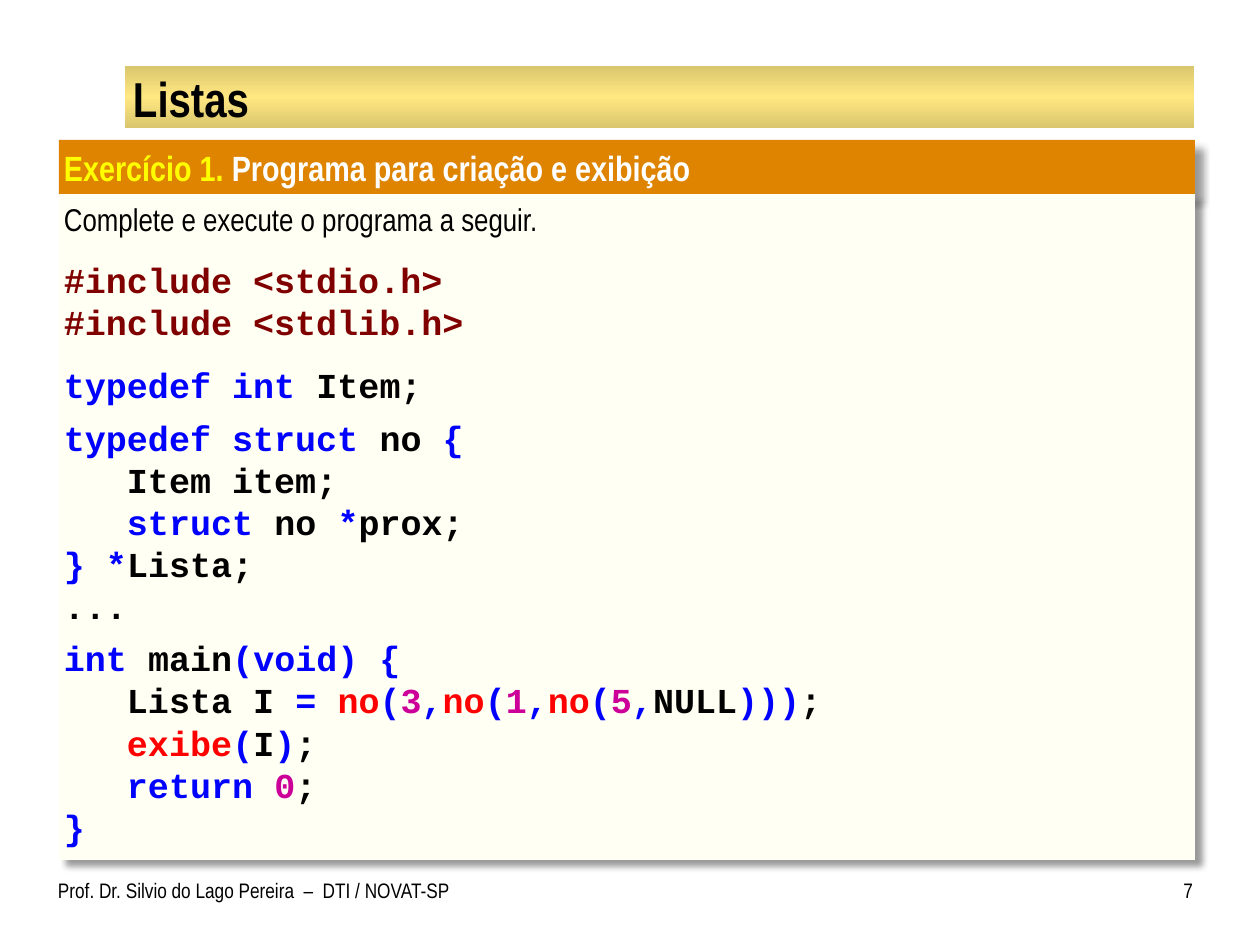
import copy

import pptx
import pptx.dml.color
import pptx.enum.shapes
import pptx.enum.text
import pptx.oxml
import pptx.oxml.ns
import pptx.util

PX = 914400 // 126


class Theme:
    text_font, code_font = "Arial Narrow", "Courier New"
    title_size, heading_size, code_size, body_size, footer_size = 28, 20, 20, 18, 12
    bar_edge, bar_middle = "DAC66E", "FFE781"
    heading_fill, code_fill = "DE8400", "FFFFF3"
    black, white, yellow = "000000", "FFFFFF", "FFFF00"
    directive, keyword, function, number = "800000", "0000FF", "FF0000", "CC0099"


RGB = pptx.dml.color.RGBColor.from_string
ALIGN = pptx.enum.text.PP_ALIGN
ANCHOR = pptx.enum.text.MSO_ANCHOR
RECTANGLE = pptx.enum.shapes.MSO_SHAPE.RECTANGLE


def write(shape, paragraphs, margins, font=Theme.text_font, size=Theme.footer_size,
          bold=False, align=ALIGN.LEFT, anchor=ANCHOR.TOP):
    """Fill a shape with (space before, runs) paragraphs; a run is (text, colour)."""
    frame = shape.text_frame
    frame.word_wrap = True
    frame.auto_size = pptx.enum.text.MSO_AUTO_SIZE.NONE
    frame.vertical_anchor = anchor
    (frame.margin_left, frame.margin_top,
     frame.margin_right, frame.margin_bottom) = [m * PX for m in margins]
    for index, (space_before, runs) in enumerate(paragraphs):
        paragraph = frame.paragraphs[0] if index == 0 else frame.add_paragraph()
        paragraph.alignment = align
        paragraph.space_before = pptx.util.Pt(space_before)
        for text, colour in runs:
            run = paragraph.add_run()
            run.text = text
            run.font.name = font
            run.font.size = pptx.util.Pt(size)
            run.font.bold = bold
            run.font.color.rgb = RGB(colour)


def add_panel(left, top, width, height, fill):
    """Add a borderless rectangle with a soft shadow to the lower right."""
    panel = slide.shapes.add_shape(RECTANGLE, left * PX, top * PX, width * PX, height * PX)
    panel.fill.solid()
    panel.fill.fore_color.rgb = RGB(fill)
    panel.line.fill.background()
    panel.shadow.inherit = False
    effects = panel._element.spPr.find(pptx.oxml.ns.qn("a:effectLst"))
    effects.append(pptx.oxml.parse_xml(
        f'<a:outerShdw {pptx.oxml.ns.nsdecls("a")} blurRad="50800" dist="76200" dir="2700000"'
        ' algn="tl" rotWithShape="0"><a:srgbClr val="000000"><a:alpha val="40000"/>'
        '</a:srgbClr></a:outerShdw>'))
    return panel


deck = pptx.Presentation()
deck.slide_width, deck.slide_height = 1260 * PX, 945 * PX
slide = deck.slides.add_slide(deck.slide_layouts[5])

# Title bar: gold gradient, brightest in the middle
title_bar = slide.shapes.add_shape(RECTANGLE, 125 * PX, 66 * PX, 1069 * PX, 62 * PX)
title_bar.shadow.inherit = False
title_bar.line.fill.background()
title_bar.fill.gradient()
title_bar.fill.gradient_angle = 90
first_stop = title_bar.fill.gradient_stops[0]._gs
first_stop.addnext(copy.deepcopy(first_stop))
bar_colours = (Theme.bar_edge, Theme.bar_middle, Theme.bar_edge)
for stop, position, colour in zip(title_bar.fill.gradient_stops, (0, 0.5, 1), bar_colours):
    stop.position = position
    stop.color.rgb = RGB(colour)

# Title, brought in front of its bar
title = slide.shapes.title
title.left, title.top, title.width, title.height = [n * PX for n in (126, 68, 1067, 59)]
write(title, [(0, [("Listas", Theme.black)])], (7, 1, 7, 1),
      size=Theme.title_size, bold=True, anchor=ANCHOR.MIDDLE)
title_bar._element.addnext(title._element)

# Exercise heading
heading = add_panel(59, 140, 1136, 55, Theme.heading_fill)
write(heading, [(0, [("Exercício 1.", Theme.yellow),
                     (" Programa para criação e exibição", Theme.white)])],
      (5, 6, 13, 6), size=Theme.heading_size, bold=True)

# Program panel: instruction, then the code below it
program = add_panel(59, 194, 1136, 666, Theme.code_fill)
instruction = [(6, [("Complete e execute o programa a seguir.", Theme.black)])]
write(program, instruction, (5, 6, 5, 6), size=Theme.body_size)

plain, keyword, function, number = Theme.black, Theme.keyword, Theme.function, Theme.number
nested_calls = []
for value in "315":
    nested_calls += [("no", function), ("(", keyword), (value, number), (",", keyword)]
code = [
    (12, [("#include <stdio.h>", Theme.directive)]),
    (0, [("#include <stdlib.h>", Theme.directive)]),
    (12, [("typedef int", keyword), (" Item;", plain)]),
    (6, [("typedef struct", keyword), (" no ", plain), ("{", keyword)]),
    (0, [("   Item item;", plain)]),
    (0, [("   struct", keyword), (" no ", plain), ("*", keyword), ("prox;", plain)]),
    (0, [("} *", keyword), ("Lista;", plain)]),
    (0, [("...", plain)]),
    (6, [("int", keyword), (" main", plain), ("(void) {", keyword)]),
    (0, [("   Lista I ", plain), ("= ", keyword), *nested_calls,
         ("NULL", plain), (")))", keyword), (";", plain)]),
    (0, [("   exibe", function), ("(", keyword), ("I", plain), (")", keyword), (";", plain)]),
    (0, [("   return ", keyword), ("0", number), (";", plain)]),
    (0, [("}", keyword)]),
]
program.text_frame.clear()
write(program, instruction + code, (5, 6, 5, 6),
      font=Theme.code_font, size=Theme.code_size, bold=True)
instruction_font = program.text_frame.paragraphs[0].runs[0].font
instruction_font.name = Theme.text_font
instruction_font.size = pptx.util.Pt(Theme.body_size)
instruction_font.bold = False

# Footer: author on the left, page number on the right
for left, width, text, margins, align in (
    (58, 412, "Prof. Dr. Silvio do Lago Pereira  –  DTI / NOVAT-SP", (0, 6, 13, 6), ALIGN.LEFT),
    (1144, 49, "7", (13, 6, 0, 6), ALIGN.RIGHT),
):
    footer = slide.shapes.add_textbox(left * PX, 872 * PX, width * PX, 53 * PX)
    write(footer, [(0, [(text, Theme.black)])], margins, align=align)

deck.save("out.pptx")
